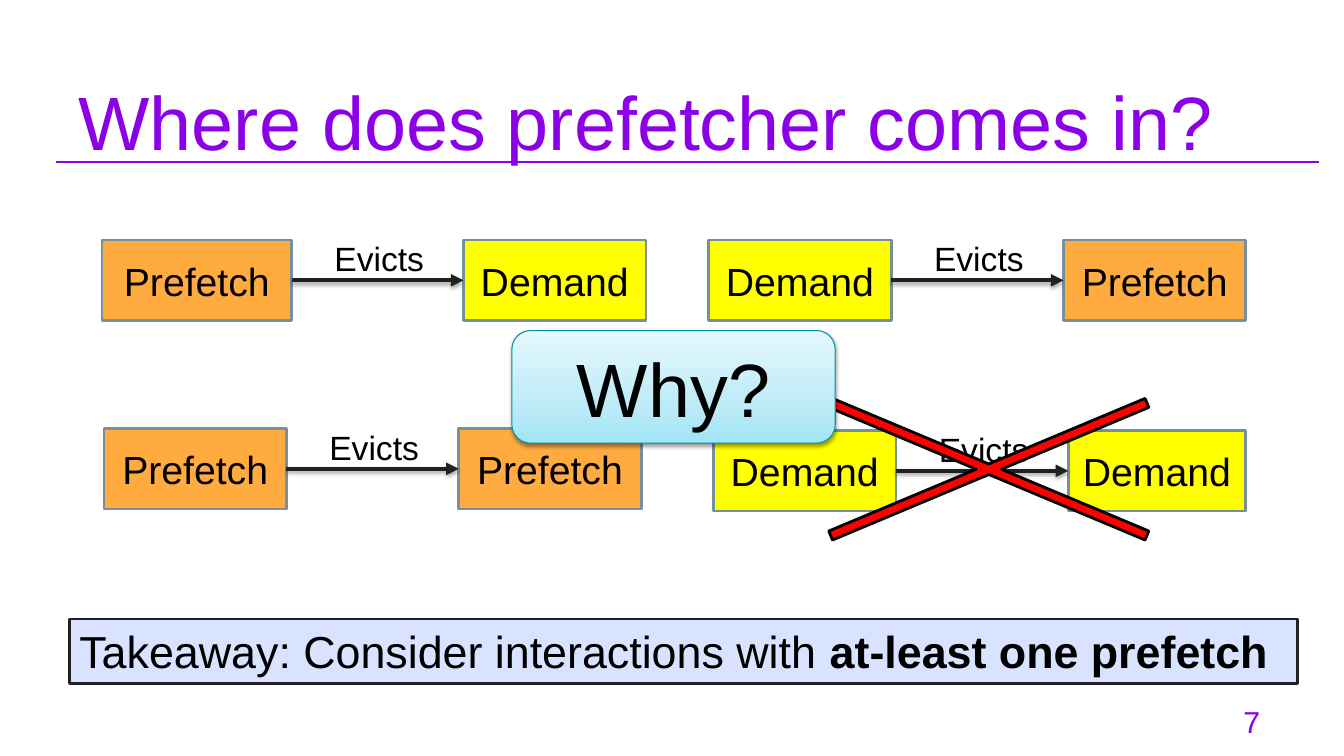
from copy import deepcopy

from lxml.etree import SubElement
from pptx import Presentation
from pptx.dml.color import RGBColor
from pptx.enum.shapes import MSO_CONNECTOR, MSO_SHAPE
from pptx.enum.text import MSO_ANCHOR, PP_ALIGN
from pptx.oxml.ns import qn
from pptx.util import Cm, Pt

TITLE = "Where does prefetcher comes in?"
PAGE_NUMBER = "7"
QUESTION = "Why?"
TAKEAWAY = [("Takeaway: Consider interactions with ", False),
            ("at-least one prefetch", True)]
ACTION = "Evicts"
# top, then (name, left, width) of the evicting and of the evicted block, in cm
EVICTIONS = [
    (6.05, ("Prefetch", 2.57, 4.78), ("Demand", 11.68, 4.6)),
    (10.8, ("Prefetch", 2.62, 4.6), ("Prefetch", 11.56, 4.6)),
    (6.05, ("Demand", 17.86, 4.6), ("Prefetch", 26.8, 4.6)),
    (10.85, ("Demand", 17.98, 4.6), ("Demand", 26.92, 4.47)),
]
BLOCK_HEIGHT = 2.03
COLORS = {
    "purple": "8B00E7", "Prefetch": "FFAB40", "Demand": "FFFF00",
    "block edge": "78909C", "ink": "212121", "black": "000000",
    "takeaway": "D9E2FF", "cross": "FF0000", "question edge": "0094A3",
}
QUESTION_GRADIENT = [(0, "A0E5F5"), (0.35, "BEEBF7"), (1, "E5F8FD")]
FONT = "Arial"


def rgb(name):
    return RGBColor.from_string(COLORS[name])


def write(shape, runs, size, color="black", align=PP_ALIGN.LEFT,
          anchor=MSO_ANCHOR.TOP, inset=None):
    """Fill a shape with one paragraph of (text, bold) runs."""
    frame = shape.text_frame
    frame.word_wrap = True
    frame.vertical_anchor = anchor
    if inset is not None:
        frame.margin_left = frame.margin_right = Cm(inset)
        frame.margin_top = frame.margin_bottom = Cm(inset)
    paragraph = frame.paragraphs[0]
    paragraph.alignment = align
    paragraph.font.name = FONT
    paragraph.font.size = Pt(size)
    paragraph.font.color.rgb = rgb(color)
    for text, bold in runs:
        run = paragraph.add_run()
        run.text = text
        if bold:
            run.font.bold = True


def add_label(slide, box, text, size, **style):
    label = slide.shapes.add_textbox(*map(Cm, box))
    write(label, [(text, False)], size, **style)


def add_panel(slide, kind, box, fill, edge, edge_width):
    panel = slide.shapes.add_shape(kind, *map(Cm, box))
    panel.shadow.inherit = False
    if fill:
        panel.fill.solid()
        panel.fill.fore_color.rgb = rgb(fill)
    panel.line.color.rgb = rgb(edge)
    panel.line.width = Pt(edge_width)
    return panel


def add_line(slide, ends, color, width):
    line = slide.shapes.add_connector(MSO_CONNECTOR.STRAIGHT, *map(Cm, ends))
    line.line.color.rgb = rgb(color)
    line.line.width = Pt(width)
    SubElement(line._element.spPr, qn("a:effectLst"))
    return line


def add_shadow(shape, opacity, blur, distance):
    """Drop a black shadow straight down; lengths are in points."""
    effects = shape._element.spPr.find(qn("a:effectLst"))
    shadow = SubElement(effects, qn("a:outerShdw"), blurRad=str(Pt(blur)),
                        dist=str(Pt(distance)), dir="5400000", rotWithShape="0")
    black = SubElement(shadow, qn("a:srgbClr"), val=COLORS["black"])
    SubElement(black, qn("a:alpha"), val=str(opacity * 1000))


def add_block(slide, name, left, top, width):
    block = add_panel(slide, MSO_SHAPE.RECTANGLE, (left, top, width, BLOCK_HEIGHT),
                      name, "block edge", 2)
    write(block, [(name, False)], 28, align=PP_ALIGN.CENTER, anchor=MSO_ANCHOR.MIDDLE)
    return block


def add_eviction(slide, top, evicting, evicted):
    blocks = [add_block(slide, name, left, top, width)
              for name, left, width in (evicting, evicted)]
    start, end = evicting[1] + evicting[2], evicted[1]
    middle = top + BLOCK_HEIGHT / 2
    arrow = add_line(slide, (start, middle, end, middle), "ink", 3)
    arrow.begin_connect(blocks[0], 3)
    arrow.end_connect(blocks[1], 1)
    SubElement(arrow.line._get_or_add_ln(), qn("a:tailEnd"), type="triangle")
    add_shadow(arrow, 35, 3.1, 1.8)
    add_label(slide, (start + 0.83, top - 0.17, 2.97, 1.24), ACTION, 24)


def add_question(slide):
    question = add_panel(slide, MSO_SHAPE.ROUNDED_RECTANGLE, (12.9, 8.33, 8.15, 2.84),
                         None, "question edge", 0.75)
    question.fill.gradient()
    stops = question._element.spPr.find(f".//{qn('a:gsLst')}")
    stops.append(deepcopy(stops[0]))
    for stop, (position, color) in zip(question.fill.gradient_stops, QUESTION_GRADIENT):
        stop.position = position
        stop.color.rgb = RGBColor.from_string(color)
    question.fill.gradient_angle = 90
    add_shadow(question, 38, 3.1, 1.6)
    write(question, [(QUESTION, False)], 54, align=PP_ALIGN.CENTER,
          anchor=MSO_ANCHOR.MIDDLE)


def main():
    deck = Presentation()
    deck.slide_width, deck.slide_height = Cm(33.87), Cm(19.05)
    slide = deck.slides.add_slide(deck.slide_layouts[6])

    add_line(slide, (1.42, 4.08, 33.25, 4.08), "purple", 1.5)
    add_label(slide, (1.68, 1.6, 30.38, 2.5), TITLE, 54, color="purple", inset=0.3)
    add_label(slide, (29.9, 17.45, 2.16, 1.45), PAGE_NUMBER, 21.6, color="purple",
              align=PP_ALIGN.RIGHT, anchor=MSO_ANCHOR.MIDDLE, inset=0.3)

    for eviction in EVICTIONS:
        add_eviction(slide, *eviction)

    takeaway = add_panel(slide, MSO_SHAPE.RECTANGLE, (1.75, 15.6, 30.96, 1.63),
                         "takeaway", "ink", 2)
    write(takeaway, TAKEAWAY, 32)
    cross = add_panel(slide, MSO_SHAPE.MATH_MULTIPLY, (17.25, 8.61, 15.34, 6.43),
                      "cross", "black", 2)
    cross.adjustments[0] = 0.038
    add_question(slide)

    deck.save("out.pptx")


if __name__ == "__main__":
    main()
